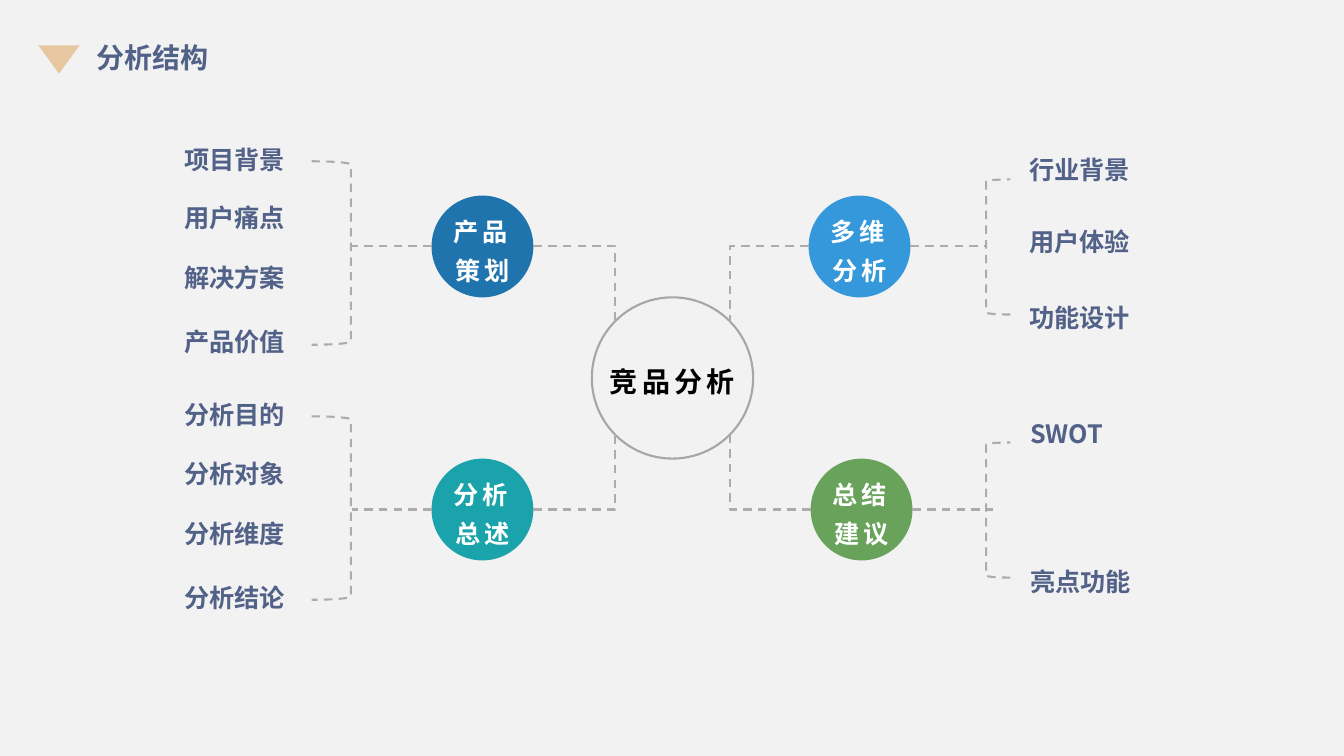
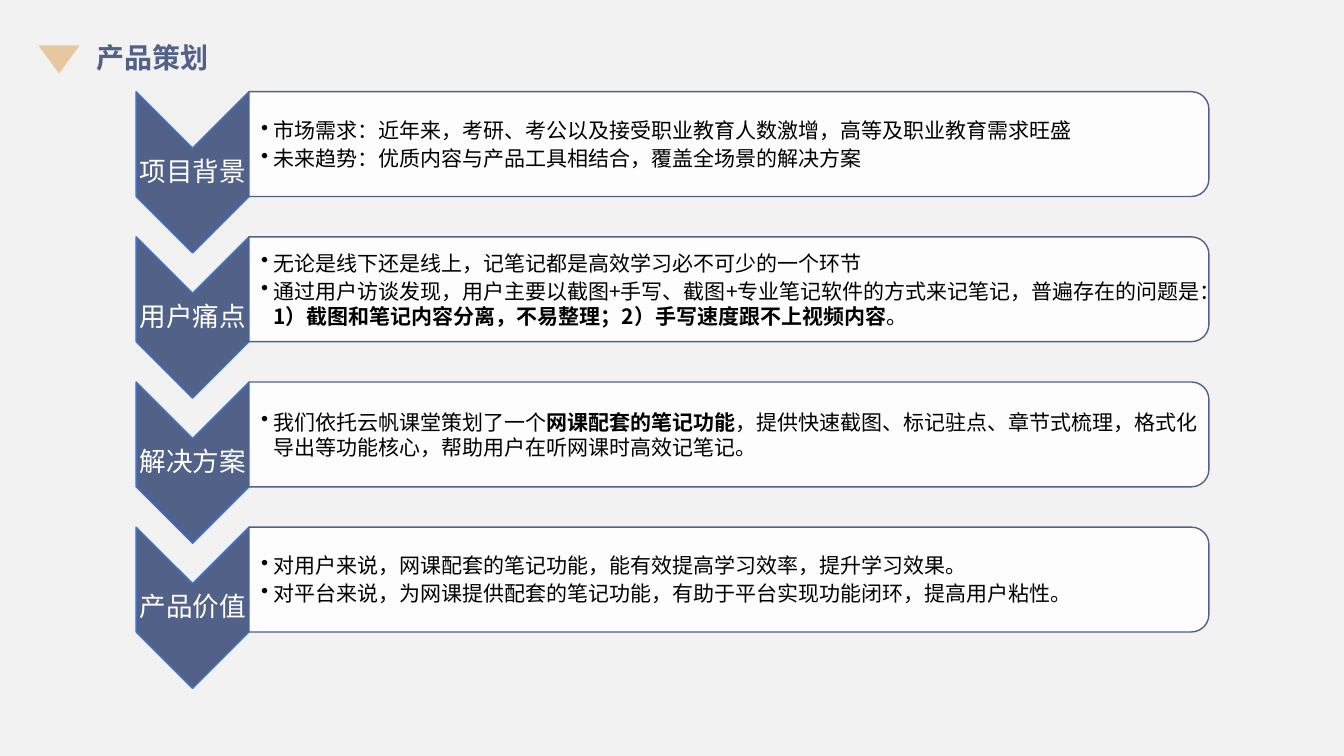
from dataclasses import dataclass

from pptx import Presentation
from pptx.dml.color import RGBColor
from pptx.enum.dml import MSO_LINE
from pptx.enum.shapes import MSO_CONNECTOR, MSO_SHAPE
from pptx.enum.text import MSO_ANCHOR, PP_ALIGN
from pptx.oxml.ns import qn
from pptx.util import Inches, Pt
from lxml import etree

DASH = MSO_LINE.DASH
STRAIGHT, ELBOW = MSO_CONNECTOR.STRAIGHT, MSO_CONNECTOR.ELBOW
OVAL, TRIANGLE = MSO_SHAPE.OVAL, MSO_SHAPE.ISOSCELES_TRIANGLE
CHEVRON, BRACKET = MSO_SHAPE.CHEVRON, MSO_SHAPE.RIGHT_BRACKET
PANEL = MSO_SHAPE.ROUND_2_SAME_RECTANGLE
TOP, MIDDLE = MSO_ANCHOR.TOP, MSO_ANCHOR.MIDDLE
LEFT, CENTER = PP_ALIGN.LEFT, PP_ALIGN.CENTER


@dataclass(frozen=True)
class Theme:
    font: str = "Noto Sans CJK SC"
    bg: str = "F2F2F2"
    navy: str = "526188"
    sand: str = "E7C7A0"
    ring: str = "A6A6A6"
    wire: str = "AFABAB"
    edge: str = "4472C4"
    white: str = "FFFFFF"
    black: str = "000000"
    blue: str = "1F74AD"
    sky: str = "3498DB"
    teal: str = "1AA3AA"
    green: str = "69A35B"
    title: int = 20
    step: int = 19
    label: int = 18
    body: int = 15


T = Theme()


def rgb(value):
    return RGBColor.from_string(value)


def add_run(p, text, size=T.label, color=T.navy, bold=False, spacing=0):
    r = p.add_run()
    r.text = text
    r.font.name, r.font.size, r.font.bold = T.font, Pt(size), bold
    r.font.color.rgb = rgb(color)
    rPr = r.font._element
    etree.SubElement(rPr, qn("a:ea")).set("typeface", T.font)
    if spacing:
        rPr.set("spc", str(spacing * 100))


def write(sp, paragraphs, align=LEFT, anchor=TOP, insets=(0.1, 0.05, 0.1, 0.05),
          wrap=True, line=None, after=None, bullet=False, **fmt):
    """Each paragraph is a list of (text, bold) runs, or one string."""
    tf = sp.text_frame
    tf.word_wrap, tf.vertical_anchor = wrap, anchor
    (tf.margin_left, tf.margin_top,
     tf.margin_right, tf.margin_bottom) = map(Inches, insets)
    for i, runs in enumerate(paragraphs):
        p = tf.add_paragraph() if i else tf.paragraphs[0]
        p.alignment = align
        if line:
            p.line_spacing = line
        if after:
            p.space_after = Pt(after)
        if bullet:
            pPr = p._p.get_or_add_pPr()
            pPr.set("marL", str(Inches(0.12)))
            pPr.set("indent", str(-Inches(0.12)))
            etree.SubElement(pPr, qn("a:buChar")).set("char", "•")
        if isinstance(runs, str):
            add_run(p, runs, **fmt)
        else:
            for text, bold in runs:
                add_run(p, text, bold=bold, **fmt)


class Deck:
    def __init__(self):
        self.prs = Presentation()
        self.prs.slide_width, self.prs.slide_height = Inches(13.33), Inches(7.5)
        self.s = None

    def slide(self, title):
        self.s = self.prs.slides.add_slide(self.prs.slide_layouts[6])
        fill = self.s.background.fill
        fill.solid()
        fill.fore_color.rgb = rgb(T.bg)
        self.shape(TRIANGLE, 0.38, 0.45, 0.41, 0.28, fill=T.sand, rotation=180)
        self.text(0.86, 0.35, 2.14, 0.44, [title], size=T.title, bold=True)

    def shape(self, kind, x, y, w, h, fill=None, alpha=None, line=None,
              weight=1.5, dash=None, rotation=0):
        sp = self.s.shapes.add_shape(kind, *map(Inches, (x, y, w, h)))
        sp.shadow.inherit = False
        sp.rotation = rotation
        if fill:
            sp.fill.solid()
            sp.fill.fore_color.rgb = rgb(fill)
            if alpha:
                color = sp.fill._xPr.find(".//" + qn("a:srgbClr"))
                etree.SubElement(color, qn("a:alpha")).set("val", str(alpha * 1000))
        else:
            sp.fill.background()
        if line:
            self.stroke(sp, line, weight, dash)
        else:
            sp.line.fill.background()
        return sp

    def stroke(self, sp, color, weight, dash):
        sp.line.color.rgb = rgb(color)
        sp.line.width = Pt(weight)
        if dash:
            sp.line.dash_style = dash

    def text(self, x, y, w, h, paragraphs, **fmt):
        sp = self.s.shapes.add_textbox(*map(Inches, (x, y, w, h)))
        write(sp, paragraphs, **fmt)

    def connector(self, kind, x1, y1, x2, y2):
        cx = self.s.shapes.add_connector(kind, *map(Inches, (x1, y1, x2, y2)))
        self.stroke(cx, T.wire, 1.5, DASH)
        etree.SubElement(cx._element.spPr, qn("a:effectLst"))
        return cx

    def elbow(self, x1, y1, x2, y2, start, end):
        """One-bend connector; start and end are (shape, site) pairs."""
        cx = self.connector(ELBOW, x1, y1, x2, y2)
        cx._element.spPr.find(qn("a:prstGeom")).set("prst", "bentConnector2")
        ends = cx._element.nvCxnSpPr.cNvCxnSpPr
        for link, (sp, site) in ((ends.get_or_add_stCxn(), start),
                                 (ends.get_or_add_endCxn(), end)):
            link.id, link.idx = sp.shape_id, site


# Branches: name, colour, circle (x, y), bracket top, stub end, label x, labels
BRANCHES = [
    ("产品策划", T.blue, 4.28, 1.94, 1.6, 3.49, 1.73,
     [("项目背景", 1.38), ("用户痛点", 1.96), ("解决方案", 2.55), ("产品价值", 3.19)]),
    ("分析总述", T.teal, 4.28, 4.55, 4.13, 3.49, 1.73,
     [("分析目的", 3.91), ("分析对象", 4.5), ("分析维度", 5.09), ("分析结论", 5.73)]),
    ("多维分析", T.sky, 8.02, 1.94, 1.78, 9.79, 10.11,
     [("行业背景", 1.48), ("用户体验", 2.2), ("功能设计", 2.95)]),
    ("总结建议", T.green, 8.04, 4.55, 4.39, 9.85, 10.12,
     [("SWOT", 4.1), ("亮点功能", 5.57)]),
]

STEPS = [
    ("项目背景", [
        "市场需求：近年来，考研、考公以及接受职业教育人数激增，高等及职业教育需求旺盛",
        "未来趋势：优质内容与产品工具相结合，覆盖全场景的解决方案"]),
    ("用户痛点", [
        "无论是线下还是线上，记笔记都是高效学习必不可少的一个环节",
        [("通过用户访谈发现，用户主要以截图+手写、截图+专业笔记软件的方式来记笔记，"
          "普遍存在的问题是：", False),
         ("1）截图和笔记内容分离，不易整理；2）手写速度跟不上视频内容", True),
         ("。", False)]]),
    ("解决方案", [
        [("我们依托云帆课堂策划了一个", False),
         ("网课配套的笔记功能", True),
         ("，提供快速截图、标记驻点、章节式梳理，格式化导出等功能核心，"
          "帮助用户在听网课时高效记笔记。", False)]]),
    ("产品价值", [
        "对用户来说，网课配套的笔记功能，能有效提高学习效率，提升学习效果。",
        "对平台来说，为网课提供配套的笔记功能，有助于平台实现功能闭环，提高用户粘性。"]),
]


def structure_slide(deck):
    deck.slide("分析结构")

    # Central topic
    cx, cy, radius, diagonal = 6.67, 3.75, 0.8, 0.57
    hub = deck.shape(OVAL, cx - radius, cy - radius, 2 * radius, 2 * radius, line=T.ring)
    write(hub, ["竞品分析"], align=CENTER, anchor=MIDDLE, insets=(0, 0, 0, 0),
          wrap=False, line=1.2, size=T.title, color=T.black, bold=True, spacing=3)

    # Oval connection sites: 1 top left, 2 left, 3 bottom left,
    # 5 bottom right, 6 right, 7 top right
    hub_sites = {(-1, -1): 1, (-1, 1): 3, (1, 1): 5, (1, -1): 7}
    size = 1.01
    for name, color, x, y, bracket_y, stub_x, label_x, labels in BRANCHES:
        side = -1 if x < cx else 1
        level = -1 if y < cy else 1
        mid_y = y + size / 2
        inner, outer = (x + size, x) if side < 0 else (x, x + size)

        # Circle and its links
        node = deck.shape(OVAL, x, y, size, size, fill=color)
        write(node, [name], align=CENTER, anchor=MIDDLE, insets=(0, 0, 0, 0),
              line=1.3, color=T.white, bold=True, spacing=3)
        deck.elbow(inner, mid_y, cx + side * diagonal, cy + level * diagonal,
                   (node, 6 if side < 0 else 2), (hub, hub_sites[side, level]))
        deck.connector(STRAIGHT, outer, mid_y, stub_x, mid_y)

        # Bracket and labels
        bx, bw, bh, turn = (3.09, 0.39, 1.82, 0) if side < 0 else (9.78, 0.24, 1.34, 180)
        deck.shape(BRACKET, bx, bracket_y, bw, bh, line=T.wire, dash=DASH, rotation=turn)
        for label, label_y in labels:
            deck.text(label_x, label_y, 1.5, 0.4, [label], bold=True)


def planning_slide(deck):
    deck.slide("产品策划")
    panel_w, panel_h = 9.52, 1.04
    thin = (0.01, 0.01, 0.01, 0.01)
    for i, (name, points) in enumerate(STEPS):
        y = 0.91 + i * 1.44

        # Step arrow
        deck.shape(CHEVRON, 1.11, y + 0.24, 1.6, 1.12, fill=T.navy,
                   line=T.edge, weight=1, rotation=90)
        deck.text(1.35, y + 0.56, 1.12, 0.48, [name], align=CENTER, anchor=MIDDLE,
                  insets=thin, line=0.9, size=T.step, color=T.white)

        # Panel, turned so that its rounded end is on the right
        deck.shape(PANEL, 2.47 + (panel_w - panel_h) / 2, y - (panel_w - panel_h) / 2,
                   panel_h, panel_w, fill=T.white, alpha=90,
                   line=T.navy, weight=1, rotation=90)
        deck.text(2.47, y + 0.05, 9.47, 0.94, points, anchor=MIDDLE,
                  insets=(0.12, 0.01, 0.01, 0.01), after=2, bullet=True,
                  size=T.body, color=T.black)


def main():
    deck = Deck()
    structure_slide(deck)
    planning_slide(deck)
    deck.prs.save("out.pptx")


if __name__ == "__main__":
    main()
